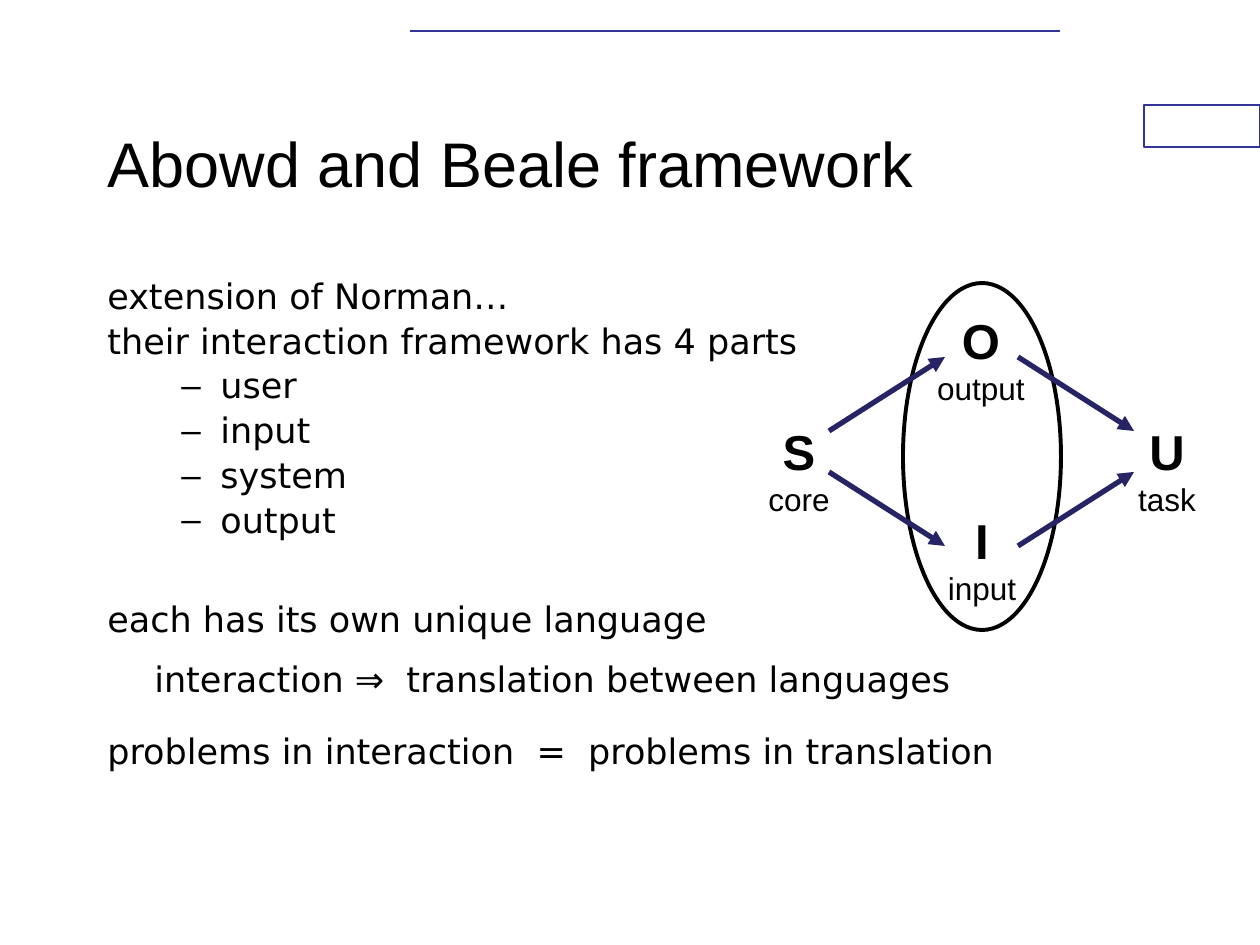
from dataclasses import dataclass
from typing import Any

import pptx
import pptx.dml.color
import pptx.enum.shapes
import pptx.enum.text
import pptx.oxml.ns
import pptx.util
from lxml import etree

EMU_PER_PX = 914400 / 126
Align = pptx.enum.text.PP_ALIGN
Anchor = pptx.enum.text.MSO_ANCHOR
Shape = pptx.enum.shapes.MSO_SHAPE


@dataclass(frozen=True)
class Theme:
    ink: str = "000000"
    paper: str = "FFFFFF"
    frame: str = "333399"
    arrow: str = "262464"
    heading_font: str = "Arial"
    body_font: str = "DejaVu Sans"
    title_size: int = 36
    body_size: int = 20
    letter_size: int = 28
    role_size: int = 18


@dataclass(frozen=True)
class Point:
    text: str
    before: float = 4
    indent: int = 0
    dashed: bool = False


@dataclass(frozen=True)
class Component:
    letter: str
    role: str
    center: int
    top: int


@dataclass(frozen=True)
class Stroke:
    start: tuple[int, int]
    end: tuple[int, int]
    color: str
    weight: float
    arrow: bool = False


THEME = Theme()
TEXT_LEFT = 95
DASH_HANG = 39
COMPONENT_WIDTH, COMPONENT_HEIGHT = 120, 110

POINTS = [
    Point("extension of Norman…"),
    Point("their interaction framework has 4 parts"),
    *[Point(part, indent=113, dashed=True) for part in ("user", "input", "system", "output")],
    Point("each has its own unique language", before=35),
    Point("interaction ⇒  translation between languages", before=12.7, indent=47),
    Point("problems in interaction  =  problems in translation", before=19.6),
]

COMPONENTS = [
    Component("S", "core", 799, 415),
    Component("U", "task", 1167, 415),
    Component("O", "output", 981, 304),
    Component("I", "input", 982, 504),
]

HEADER_RULE = Stroke((410, 31), (1060, 31), THEME.frame, 1)
TRANSLATIONS = [
    Stroke(start, end, THEME.arrow, 3, arrow=True)
    for start, end in [
        ((829, 431), (945, 357)),
        ((1018, 357), (1134, 431)),
        ((829, 472), (945, 546)),
        ((1018, 546), (1134, 472)),
    ]
]


def px(length: float) -> int:
    return round(length * EMU_PER_PX)


def rgb(color: str) -> pptx.dml.color.RGBColor:
    return pptx.dml.color.RGBColor.from_string(color)


def apply(target: Any, values: dict[str, Any]) -> None:
    for name, value in values.items():
        setattr(target, name, value)


def write(paragraph: Any, text: str, font: str, size: int, bold: bool = False) -> None:
    run = paragraph.add_run()
    run.text = text
    apply(run.font, {"name": font, "size": pptx.util.Pt(size), "bold": bold})
    run.font.color.rgb = rgb(THEME.ink)


def add_dash(paragraph: Any) -> None:
    properties = paragraph._p.get_or_add_pPr()
    properties.set("indent", str(-px(DASH_HANG)))
    font = etree.SubElement(properties, pptx.oxml.ns.qn("a:buFont"))
    font.set("typeface", THEME.heading_font)
    bullet = etree.SubElement(properties, pptx.oxml.ns.qn("a:buChar"))
    bullet.set("char", "–")


def add_outline(slide: Any, kind: Any, box: tuple[int, int, int, int],
                color: str, weight: float, fill: str | None = None) -> None:
    outline = slide.shapes.add_shape(kind, *map(px, box))
    outline.shadow.inherit = False
    if fill:
        outline.fill.solid()
        outline.fill.fore_color.rgb = rgb(fill)
    else:
        outline.fill.background()
    outline.line.color.rgb = rgb(color)
    outline.line.width = pptx.util.Pt(weight)


def add_stroke(slide: Any, stroke: Stroke) -> None:
    connector = slide.shapes.add_connector(
        pptx.enum.shapes.MSO_CONNECTOR.STRAIGHT, *map(px, stroke.start + stroke.end))
    connector.line.color.rgb = rgb(stroke.color)
    connector.line.width = pptx.util.Pt(stroke.weight)
    if stroke.arrow:
        head = etree.SubElement(connector.line._get_or_add_ln(), pptx.oxml.ns.qn("a:tailEnd"))
        head.set("type", "triangle")
    etree.SubElement(connector._element.spPr, pptx.oxml.ns.qn("a:effectLst"))


def add_title(slide: Any, text: str) -> None:
    title = slide.shapes.title
    apply(title, {"left": px(TEXT_LEFT), "top": px(84), "width": px(945), "height": px(157)})
    apply(title.text_frame, {"vertical_anchor": Anchor.MIDDLE, "word_wrap": True})
    paragraph = title.text_frame.paragraphs[0]
    paragraph.alignment = Align.LEFT
    write(paragraph, text, THEME.heading_font, THEME.title_size)


def add_points(slide: Any, points: list[Point]) -> None:
    frame = slide.shapes.add_textbox(px(TEXT_LEFT), px(273), px(1071), px(567)).text_frame
    frame.word_wrap = True
    for index, point in enumerate(points):
        paragraph = frame.add_paragraph() if index else frame.paragraphs[0]
        apply(paragraph, {"line_spacing": 0.9, "space_before": pptx.util.Pt(point.before)})
        paragraph._p.get_or_add_pPr().set("marL", str(px(point.indent)))
        if point.dashed:
            add_dash(paragraph)
        write(paragraph, point.text, THEME.body_font, THEME.body_size)


def add_component(slide: Any, part: Component) -> None:
    box = (part.center - COMPONENT_WIDTH / 2, part.top, COMPONENT_WIDTH, COMPONENT_HEIGHT)
    frame = slide.shapes.add_textbox(*map(px, box)).text_frame
    apply(frame, {"word_wrap": False,
                  "auto_size": pptx.enum.text.MSO_AUTO_SIZE.SHAPE_TO_FIT_TEXT})
    letter, role = frame.paragraphs[0], frame.add_paragraph()
    letter.alignment = role.alignment = Align.CENTER
    write(letter, part.letter, THEME.heading_font, THEME.letter_size, bold=True)
    write(role, part.role, THEME.heading_font, THEME.role_size)


def main() -> None:
    deck = pptx.Presentation()
    apply(deck, {"slide_width": px(1260), "slide_height": px(945)})
    slide = deck.slides.add_slide(deck.slide_layouts[5])

    # Page frame
    add_outline(slide, Shape.RECTANGLE, (1144, 105, 116, 42), THEME.frame, 0.75, THEME.paper)
    add_stroke(slide, HEADER_RULE)

    # Title and points
    add_title(slide, "Abowd and Beale framework")
    add_points(slide, POINTS)

    # Interaction diagram
    add_outline(slide, Shape.OVAL, (903, 283, 158, 347), THEME.ink, 2.25)
    for component in COMPONENTS:
        add_component(slide, component)
    for translation in TRANSLATIONS:
        add_stroke(slide, translation)

    deck.save("out.pptx")


if __name__ == "__main__":
    main()
